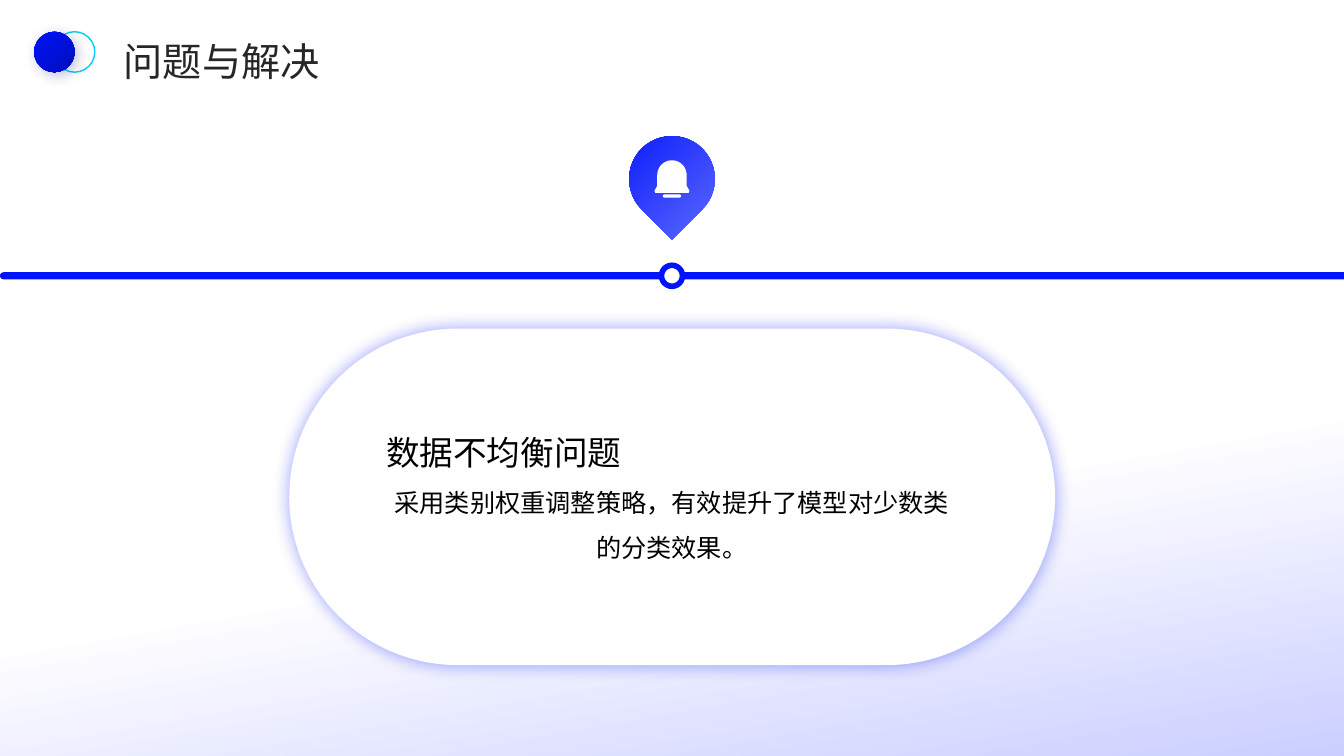
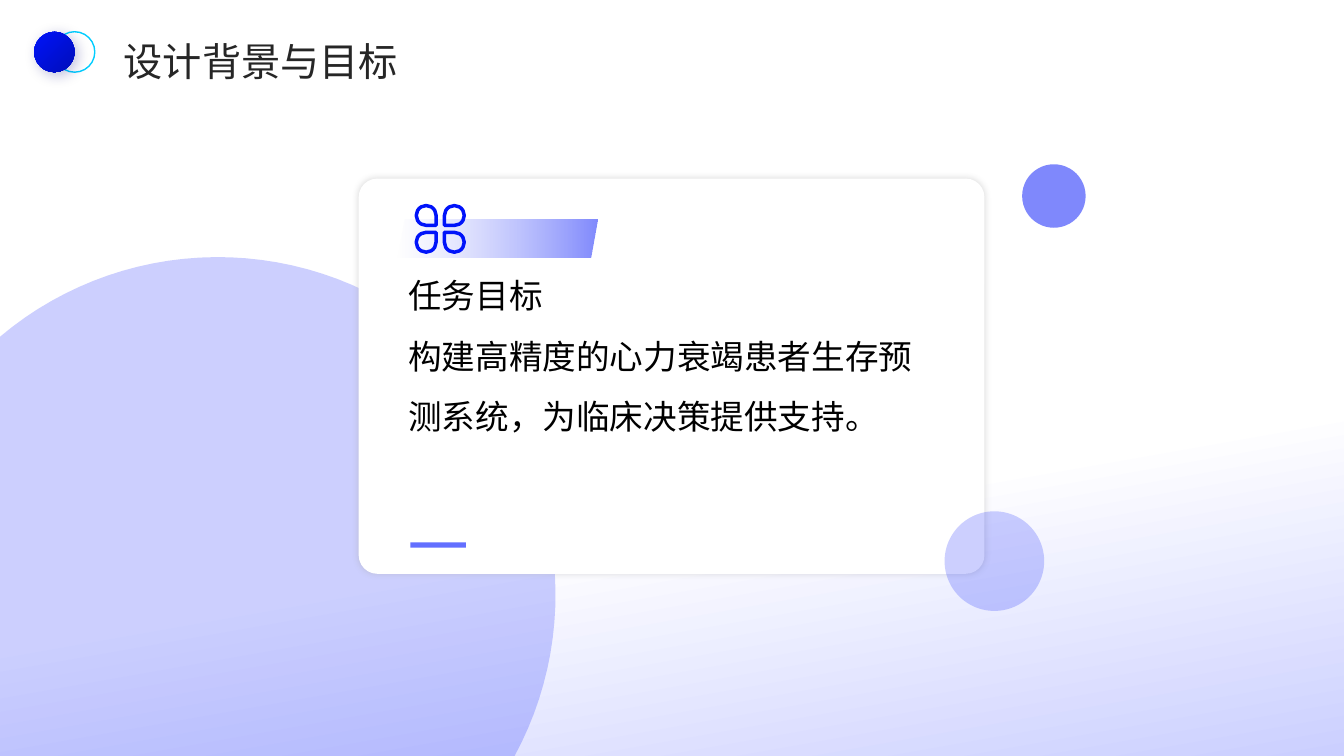
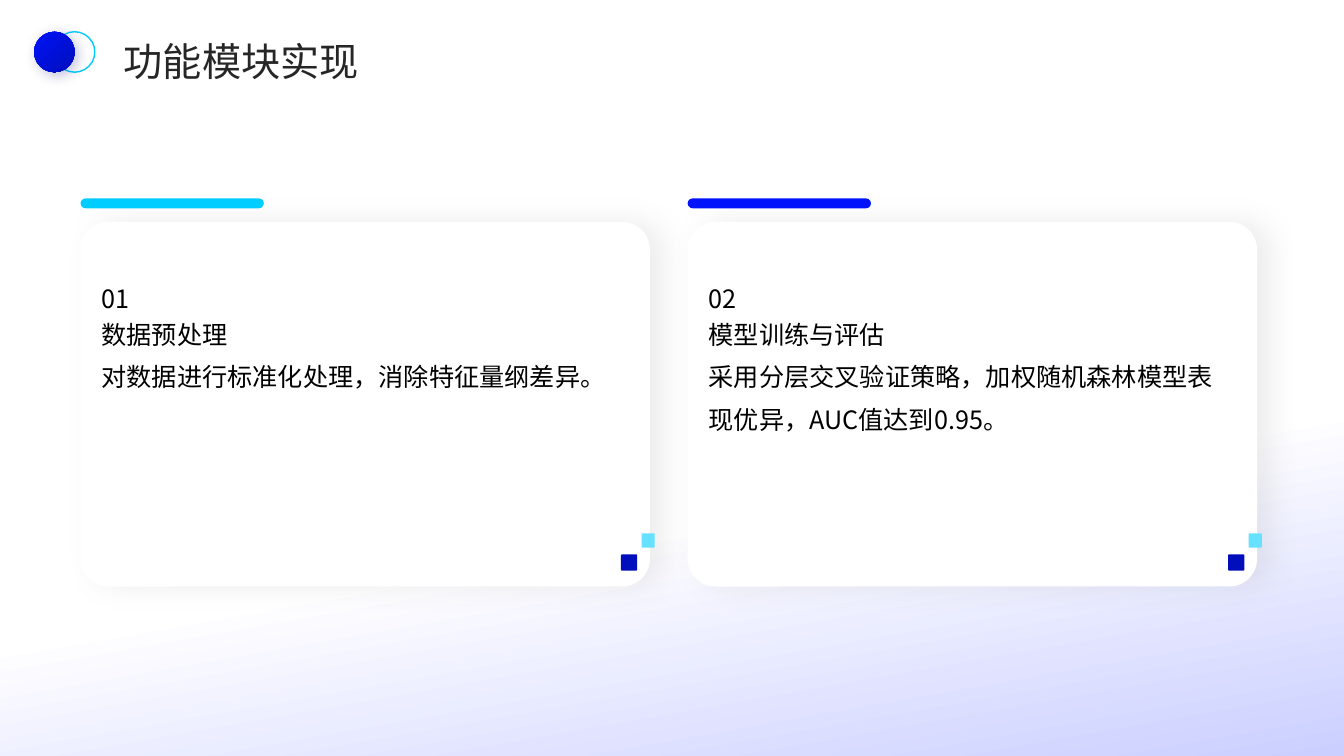
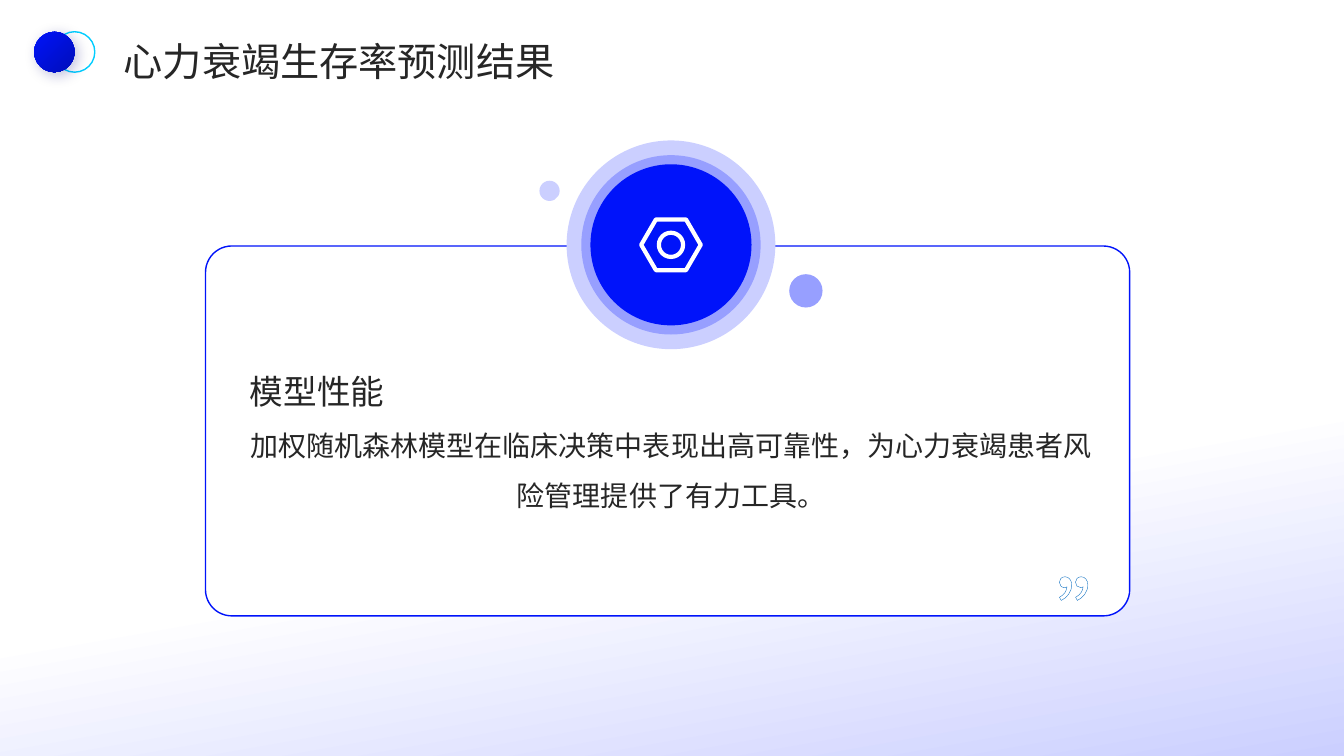
import math

import pptx
import pptx.dml.color
import pptx.enum.shapes
import pptx.enum.text
import pptx.oxml
import pptx.oxml.ns
import pptx.util

Cm = pptx.util.Cm
Pt = pptx.util.Pt
RGBColor = pptx.dml.color.RGBColor
SHAPE = pptx.enum.shapes.MSO_SHAPE
ALIGN = pptx.enum.text.PP_ALIGN
ANCHOR = pptx.enum.text.MSO_ANCHOR
qn = pptx.oxml.ns.qn

WIDTH, HEIGHT = 33.87, 19.05
FONT = "Noto Sans CJK SC"
WHITE = RGBColor(0xFF, 0xFF, 0xFF)
BLACK = RGBColor(0x00, 0x00, 0x00)
INK = RGBColor(0x26, 0x26, 0x26)
GREY = RGBColor(0xA6, 0xA6, 0xA6)
BLUE = RGBColor(0x00, 0x13, 0xFA)
DEEP_BLUE = RGBColor(0x00, 0x0E, 0xBB)
NIGHT_BLUE = RGBColor(0x00, 0x09, 0x7D)
SOFT_BLUE = RGBColor(0x63, 0x6F, 0xFF)
MID_BLUE = RGBColor(0x97, 0x9F, 0xFF)
PALE_BLUE = RGBColor(0xCB, 0xCF, 0xFF)
QUOTE_BLUE = RGBColor(0x00, 0x68, 0xBF)
CYAN = RGBColor(0x00, 0xCD, 0xFF)
LIGHT_CYAN = RGBColor(0x66, 0xE1, 0xFF)
BACKDROP = [(2, WHITE, 100), (65, WHITE, 100), (100, PALE_BLUE, 100)]


def element(text):
    return pptx.oxml.parse_xml(
        text.replace(">", " " + pptx.oxml.ns.nsdecls("a") + ">", 1)
    )


def color_xml(color, opacity):
    return f'<a:srgbClr val="{color}"><a:alpha val="{opacity * 1000}"/></a:srgbClr>'


def style(shape, fill=None, opacity=100, line=None, line_width=1):
    shape.shadow.inherit = False
    if fill is None:
        shape.fill.background()
    else:
        shape.fill.solid()
        shape.fill.fore_color.rgb = fill
        if opacity < 100:
            color = shape._element.spPr.find(qn("a:solidFill"))[0]
            color.append(element(f'<a:alpha val="{opacity * 1000}"></a:alpha>'))
    if line is None:
        shape.line.fill.background()
    else:
        shape.line.color.rgb = line
        shape.line.width = Pt(line_width)
    return shape


def add_shape(shapes, kind, box, adjust=(), rotation=0, **look):
    shape = shapes.add_shape(kind, *[Cm(length) for length in box])
    for index, value in enumerate(adjust):
        shape.adjustments[index] = value
    shape.rotation = rotation
    return style(shape, **look)


def add_circle(shapes, center_x, center_y, diameter, **look):
    box = (center_x - diameter / 2, center_y - diameter / 2, diameter, diameter)
    return add_shape(shapes, SHAPE.OVAL, box, **look)


def add_outline(shapes, points, **look):
    points = [(Cm(x), Cm(y)) for x, y in points]
    builder = shapes.build_freeform(*points[0], scale=1.0)
    builder.add_line_segments(points[1:], close=True)
    return style(builder.convert_to_shape(), **look)


def arc(center_x, center_y, radius, start, end, steps=60):
    angles = [math.radians(start + (end - start) * i / steps) for i in range(steps + 1)]
    return [
        (center_x + radius * math.cos(angle), center_y + radius * math.sin(angle))
        for angle in angles
    ]


def set_gradient(shape, stops, angle):
    stop_xml = "".join(
        f'<a:gs pos="{position * 1000}">{color_xml(color, opacity)}</a:gs>'
        for position, color, opacity in stops
    )
    gradient = element(
        f'<a:gradFill rotWithShape="1"><a:gsLst>{stop_xml}</a:gsLst>'
        f'<a:lin ang="{angle * 60000}" scaled="0"/></a:gradFill>'
    )
    shape.fill.background()
    properties = shape._element.spPr
    properties.replace(properties.find(qn("a:noFill")), gradient)


def set_shadow(shape, color, opacity, blur, distance=0, angle=0):
    shape._element.spPr.find(qn("a:effectLst")).append(element(
        f'<a:outerShdw blurRad="{Pt(blur)}" dist="{Pt(distance)}" '
        f'dir="{angle * 60000}" algn="ctr" rotWithShape="0">'
        f'{color_xml(color, opacity)}</a:outerShdw>'
    ))


def add_text(shapes, box, lines, color=BLACK, anchor=ANCHOR.TOP, inset=(0, 0)):
    frame = shapes.add_textbox(*[Cm(length) for length in box]).text_frame
    frame.word_wrap = True
    frame.vertical_anchor = anchor
    frame.margin_left = frame.margin_right = Cm(inset[0])
    frame.margin_top = frame.margin_bottom = Cm(inset[1])
    for index, (text, size, spacing, alignment) in enumerate(lines):
        paragraph = frame.add_paragraph() if index else frame.paragraphs[0]
        paragraph.text = text
        paragraph.alignment = alignment
        paragraph.line_spacing = spacing
        paragraph.font.size = Pt(size)
        paragraph.font.color.rgb = color
        paragraph.font.name = FONT
        defaults = paragraph._p.pPr.find(qn("a:defRPr"))
        defaults.append(element(f'<a:ea typeface="{FONT}"></a:ea>'))
    return frame


def add_title(slide, title):
    add_text(slide.shapes, (2.87, 0.69, 29.11, 1.4),
             [(title, 28, 1.1, ALIGN.LEFT)], INK, inset=(0.25, 0.13))
    circles = slide.shapes.add_group_shape().shapes
    add_circle(circles, 1.88, 1.31, 1.02, line=CYAN)
    disc = add_circle(circles, 1.37, 1.31, 1.02, fill=BLUE)
    set_gradient(disc, [(0, BLUE, 100), (99, DEEP_BLUE, 100)], 45)
    set_shadow(disc, NIGHT_BLUE, 25, 10, 3, 45)


def add_slide(presentation, title, build_content):
    slide = presentation.slides.add_slide(presentation.slide_layouts[6])
    backdrop = add_shape(slide.shapes, SHAPE.RECTANGLE, (0, 0, WIDTH, HEIGHT), fill=WHITE)
    set_gradient(backdrop, BACKDROP, 80)
    build_content(slide.shapes)
    add_title(slide, title)


def add_bell(shapes, center_x, top):
    dome = arc(center_x, top + 0.37, 0.37, 180, 360, 24)
    skirt = [(0.37, 0.64), (0.44, 0.77), (0.42, 0.82), (-0.42, 0.82), (-0.44, 0.77), (-0.37, 0.64)]
    points = dome + [(center_x + x, top + y) for x, y in skirt]
    add_outline(shapes, points, fill=WHITE)
    add_shape(shapes, SHAPE.ROUNDED_RECTANGLE, (center_x - 0.23, top + 0.86, 0.46, 0.08),
              (0.5,), fill=WHITE)


def add_clover(shapes, left, top):
    petal, pitch = 0.5, 0.71
    for column, row, rotation in ((0, 0, 90), (1, 0, 180), (0, 1, 0), (1, 1, 270)):
        box = (left + 0.05 + column * pitch, top + 0.05 + row * pitch * 0.95, petal, petal)
        add_shape(shapes, SHAPE.TEAR, box, rotation=rotation, line=BLUE, line_width=2.5)


def add_nut(shapes, center_x, center_y):
    add_shape(shapes, SHAPE.HEXAGON, (center_x - 0.75, center_y - 0.64, 1.5, 1.28),
              (0.29,), line=WHITE, line_width=3)
    add_circle(shapes, center_x, center_y, 0.61, line=WHITE, line_width=3)


def build_problem(shapes):
    middle, axis, thickness = WIDTH / 2, 6.95, 0.18
    add_shape(shapes, SHAPE.ROUND_2_SAME_RECTANGLE,
              (middle - thickness / 2, axis - middle, thickness, WIDTH),
              (0.5, 0), 270, fill=BLUE)
    pill = add_shape(shapes, SHAPE.ROUNDED_RECTANGLE, (7.29, 8.28, 19.3, 8.48),
                     (0.5,), fill=WHITE)
    set_shadow(pill, BLUE, 40, 13)
    add_circle(shapes, middle, axis, 0.53, fill=WHITE, line=BLUE, line_width=4)
    pin = add_shape(shapes, SHAPE.TEAR, (middle - 1.08, 3.43, 2.16, 2.16),
                    rotation=135, fill=BLUE)
    set_gradient(pin, [(0, SOFT_BLUE, 100), (100, BLUE, 100)], 90)
    add_bell(shapes, middle, 4.04)
    add_text(shapes, (9.73, 9.3, 14.4, 6.45), [
        ("数据不均衡问题", 24, 1.0, ALIGN.LEFT),
        ("采用类别权重调整策略，有效提升了模型对少数类的分类效果。", 18, 1.5, ALIGN.CENTER),
    ], anchor=ANCHOR.MIDDLE)


def add_goal_card(shapes, left, top):
    card = add_shape(shapes, SHAPE.ROUNDED_RECTANGLE, (left, top, 15.77, 9.96),
                     (0.047,), fill=WHITE)
    set_shadow(card, GREY, 40, 5)
    add_text(shapes, (left + 1.25, top + 2.43, 13.31, 5.61), [
        ("任务目标", 24, 1.0, ALIGN.LEFT),
        ("构建高精度的心力衰竭患者生存预测系统，为临床决策提供支持。", 24, 1.5, ALIGN.LEFT),
    ])
    ribbon = add_shape(shapes, SHAPE.PARALLELOGRAM, (left + 0.97, top + 1.04, 5.05, 0.94),
                       (0.19,), fill=BLUE)
    set_gradient(ribbon, [(0, BLUE, 50), (100, WHITE, 30)], 180)
    add_shape(shapes, SHAPE.RECTANGLE, (left + 1.3, top + 9.17, 1.4, 0.13), fill=SOFT_BLUE)
    add_clover(shapes, left + 1.4, top + 0.63)


def build_goal(shapes):
    center_x, center_y, radius = 5.49, 14.99, 8.51
    start = -180 + math.degrees(math.acos(center_x / radius))
    end = math.degrees(math.asin((HEIGHT - center_y) / radius))
    points = arc(center_x, center_y, radius, start, end) + [(0, HEIGHT)]
    add_outline(shapes, points, fill=BLUE, opacity=20)
    add_goal_card(shapes, 9.04, 4.5)
    add_circle(shapes, 26.56, 4.94, 1.6, fill=BLUE, opacity=50)
    add_circle(shapes, 25.06, 14.14, 2.51, fill=BLUE, opacity=20)


def add_module(shapes, left, top, number, heading, body, accent):
    card = add_shape(shapes, SHAPE.ROUNDED_RECTANGLE, (left, top, 14.35, 9.19),
                     (0.076,), fill=WHITE)
    set_shadow(card, GREY, 20, 20, 10)
    add_shape(shapes, SHAPE.ROUNDED_RECTANGLE, (left, top - 0.59, 4.62, 0.25),
              (0.5,), fill=accent)
    add_text(shapes, (left + 0.53, top + 2.46, 13.26, 5.89), [
        (heading, 18, 1.0, ALIGN.LEFT),
        (body, 18, 1.4, ALIGN.LEFT),
    ])
    add_text(shapes, (left + 0.53, top + 0.63, 13.26, 1.68),
             [(number, 18, 1.1, ALIGN.LEFT)], anchor=ANCHOR.BOTTOM)
    for x, y, width, height, color in (
        (14.14, 7.85, 0.33, 0.36, LIGHT_CYAN),
        (13.62, 8.38, 0.41, 0.41, DEEP_BLUE),
    ):
        add_shape(shapes, SHAPE.ROUNDED_RECTANGLE, (left + x, top + y, width, height),
                  (0.078,), fill=color)


def build_modules(shapes):
    modules = [
        ("01", "数据预处理", "对数据进行标准化处理，消除特征量纲差异。", CYAN),
        ("02", "模型训练与评估",
         "采用分层交叉验证策略，加权随机森林模型表现优异，AUC值达到0.95。", BLUE),
    ]
    for index, module in enumerate(modules):
        add_module(shapes, 2.03 + index * 15.3, 5.59, *module)


def add_medallion(shapes, center_x, center_y):
    for diameter, color in ((5.26, PALE_BLUE), (4.52, MID_BLUE), (4.06, BLUE)):
        add_circle(shapes, center_x, center_y, diameter, fill=color)
    add_nut(shapes, center_x, center_y)
    add_circle(shapes, center_x - 3.06, center_y - 1.36, 0.51, fill=PALE_BLUE)
    add_circle(shapes, center_x + 3.4, center_y + 1.16, 0.84, fill=MID_BLUE)


def build_result(shapes):
    left, top = 5.18, 6.2
    add_shape(shapes, SHAPE.ROUNDED_RECTANGLE, (left, top, 23.29, 9.32),
              (0.071,), fill=WHITE, line=BLUE)
    add_medallion(shapes, 16.91, 6.17)
    add_text(shapes, (left + 1.12, top + 3.15, 21.23, 5.61), [
        ("模型性能", 24, 1.0, ALIGN.LEFT),
        ("加权随机森林模型在临床决策中表现出高可靠性，为心力衰竭患者风险管理提供了有力工具。",
         20, 1.5, ALIGN.CENTER),
    ], INK)
    quote = add_text(shapes, (left + 21.44, top + 7.24, 1.83, 1.47),
                     [("”", 60, 1.3, ALIGN.CENTER)], WHITE)
    run = quote.paragraphs[0].runs[0]
    run._r.get_or_add_rPr().insert(0, element(
        f'<a:ln w="{Pt(1)}"><a:solidFill>{color_xml(QUOTE_BLUE, 100)}</a:solidFill></a:ln>'
    ))


def main():
    presentation = pptx.Presentation()
    presentation.slide_width = Cm(WIDTH)
    presentation.slide_height = Cm(HEIGHT)
    add_slide(presentation, "问题与解决", build_problem)
    add_slide(presentation, "设计背景与目标", build_goal)
    add_slide(presentation, "功能模块实现", build_modules)
    add_slide(presentation, "心力衰竭生存率预测结果", build_result)
    presentation.save("out.pptx")


if __name__ == "__main__":
    main()
